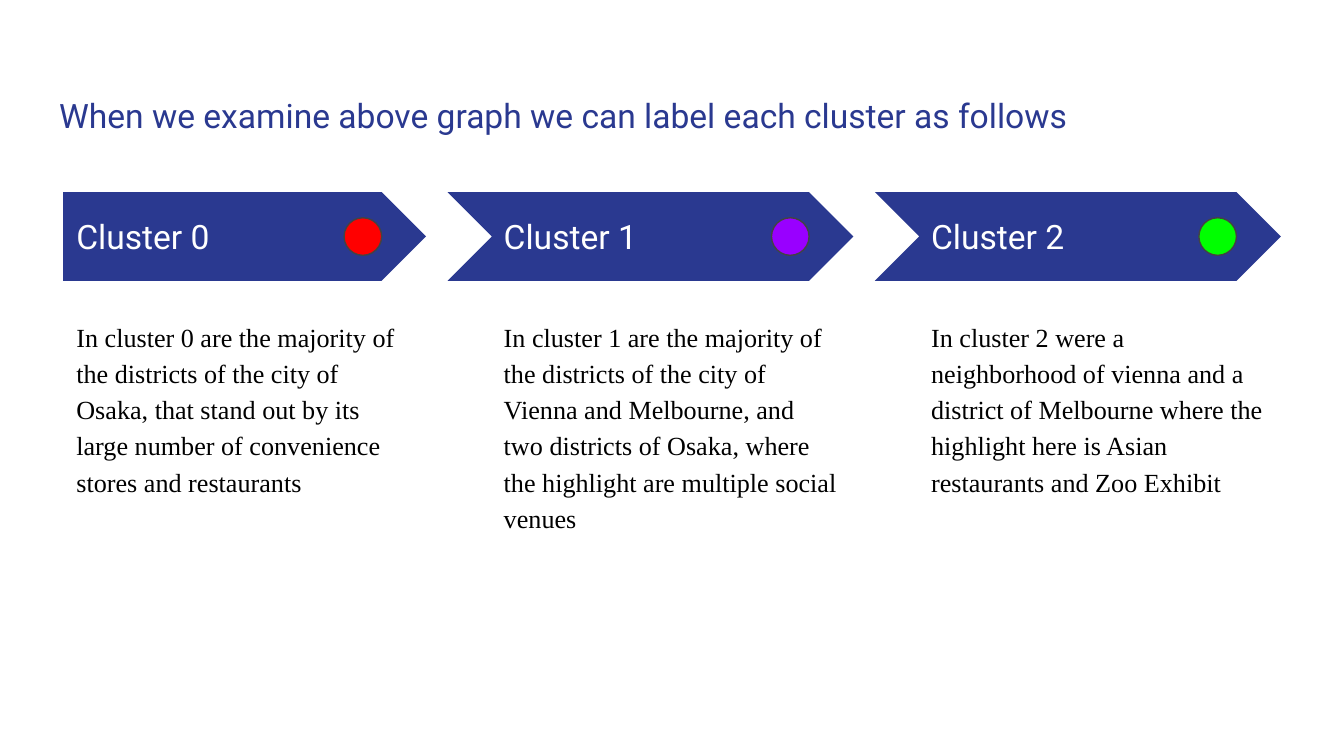
from dataclasses import dataclass

from pptx import Presentation
from pptx.dml.color import RGBColor
from pptx.enum.shapes import MSO_SHAPE as Shape
from pptx.enum.text import MSO_ANCHOR as Anchor, MSO_AUTO_SIZE as AutoSize, PP_ALIGN as Align
from pptx.util import Inches, Pt

COLORS = {
    "navy": "2A3990",
    "white": "FFFFFF",
    "black": "000000",
    "outline": "434343",
    "red": "FF0000",
    "purple": "9900FF",
    "green": "00FF00",
}
HEADING_FONT = "Roboto"
BODY_FONT = "Times New Roman"

LEFT, PITCH = 0.47, 3.18
ARROW_TOP, ARROW_HEIGHT = 1.43, 0.66
COLUMN_WIDTH, NOTCH = 2.7, 0.32
DOT_OFFSET, DOT_SIZE = 2.09, 0.28


@dataclass
class Cluster:
    label: str
    description: str
    dot: str


CLUSTERS = [
    Cluster(
        "Cluster 0",
        "In cluster 0 are the majority of the districts of the city of Osaka, "
        "that stand out by its large number of convenience stores and restaurants",
        "red",
    ),
    Cluster(
        "Cluster 1",
        "In cluster 1 are the majority of the districts of the city of Vienna and Melbourne, "
        "and two districts of Osaka, where the highlight are multiple social venues",
        "purple",
    ),
    Cluster(
        "Cluster 2",
        "In cluster 2 were a neighborhood of vienna and a district of Melbourne "
        "where the highlight here is Asian restaurants and Zoo Exhibit",
        "green",
    ),
]


def rgb(name: str) -> RGBColor:
    return RGBColor.from_string(COLORS[name])


def write(sp, text: str, font: str, size: int, color: str, anchor, spacing: float = 1.0) -> None:
    tf = sp.text_frame
    tf.word_wrap = True
    tf.auto_size = AutoSize.NONE
    tf.vertical_anchor = anchor
    tf.margin_left = tf.margin_right = tf.margin_top = tf.margin_bottom = Inches(0.1)
    p = tf.paragraphs[0]
    p.alignment = Align.LEFT
    p.line_spacing = spacing
    r = p.add_run()
    r.text = text
    r.font.name = font
    r.font.size = Pt(size)
    r.font.color.rgb = rgb(color)


def add_filled(s, kind, left: float, top: float, width: float, height: float, color: str):
    sp = s.shapes.add_shape(kind, Inches(left), Inches(top), Inches(width), Inches(height))
    sp.shadow.inherit = False
    sp.fill.solid()
    sp.fill.fore_color.rgb = rgb(color)
    sp.line.fill.background()
    return sp


def add_title(s, text: str) -> None:
    sp = s.shapes.title
    sp.left, sp.top, sp.width, sp.height = Inches(0.34), Inches(0.45), Inches(9.32), Inches(0.66)
    write(sp, text, HEADING_FONT, 18, "navy", Anchor.BOTTOM)


def add_cluster(s, index: int, cluster: Cluster) -> None:
    left = LEFT + index * PITCH
    notch = NOTCH if index else 0
    kind = Shape.CHEVRON if index else Shape.PENTAGON
    arrow = add_filled(s, kind, left - notch, ARROW_TOP, COLUMN_WIDTH + notch, ARROW_HEIGHT, "navy")
    arrow.adjustments[0] = 0.5

    label = s.shapes.add_textbox(Inches(left), Inches(1.59), Inches(2.47), Inches(0.34))
    write(label, cluster.label, HEADING_FONT, 18, "white", Anchor.MIDDLE)

    body = s.shapes.add_textbox(Inches(left), Inches(2.26), Inches(COLUMN_WIDTH), Inches(2.9))
    write(body, cluster.description, BODY_FONT, 14, "black", Anchor.TOP, 1.15)

    dot_top = ARROW_TOP + (ARROW_HEIGHT - DOT_SIZE) / 2
    dot = add_filled(s, Shape.OVAL, left + DOT_OFFSET, dot_top, DOT_SIZE, DOT_SIZE, cluster.dot)
    dot.line.color.rgb = rgb("outline")
    dot.line.width = Pt(0.75)


def main() -> None:
    prs = Presentation()
    prs.slide_width = Inches(10)
    prs.slide_height = prs.slide_width * 9 // 16
    s = prs.slides.add_slide(prs.slide_layouts[5])
    add_title(s, "When we examine above graph we can label each cluster as follows")
    for index, cluster in enumerate(CLUSTERS):
        add_cluster(s, index, cluster)
    prs.save("out.pptx")


if __name__ == "__main__":
    main()
